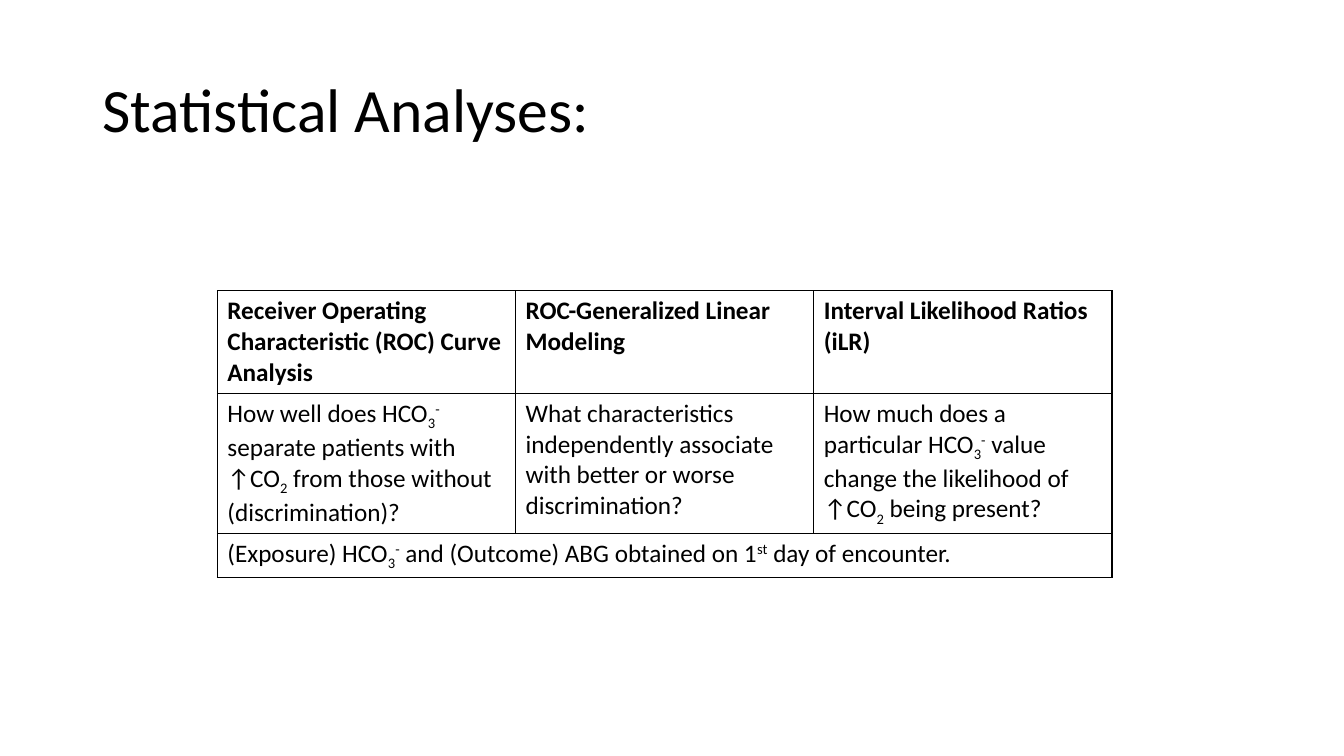
from dataclasses import dataclass

from lxml import etree
from pptx import Presentation
from pptx.dml.color import RGBColor
from pptx.enum.text import MSO_ANCHOR, MSO_AUTO_SIZE, PP_ALIGN
from pptx.oxml.ns import qn
from pptx.slide import Slide
from pptx.table import _Cell
from pptx.text.text import _Paragraph
from pptx.util import Emu, Pt

LEFT = PP_ALIGN.LEFT
MIDDLE = MSO_ANCHOR.MIDDLE
NO_FIT = MSO_AUTO_SIZE.NONE
SCALE = 9525  # EMU in one px
TITLE_ONLY = 5


@dataclass(frozen=True)
class Theme:
    font: str = "Calibri"
    ink: str = "000000"
    title: int = 44
    body: int = 18
    line: int = 1


@dataclass(frozen=True)
class Box:
    left: int
    top: int
    width: int
    height: int


@dataclass(frozen=True)
class Part:
    text: str
    base: int = 0  # shift from the baseline, in percent


THEME = Theme()
PAGE = Box(0, 0, 1280, 720)
HEAD = Box(88, 38, 1104, 139)
COL, ROW = 284, 39
GRID = Box(207, 277, 3 * COL, 3 * ROW)

# Chemical terms and table wording
SUB, SUP = -25, 30
BICARB = (Part("3", SUB), Part("-", SUP))
TWO = Part("2", SUB)
ROWS: list[list[tuple[Part, ...]]] = [
    [
        (Part("Receiver Operating Characteristic (ROC) Curve Analysis"),),
        (Part("ROC-Generalized Linear Modeling"),),
        (Part("Interval Likelihood Ratios (iLR)"),),
    ],
    [
        (Part("How well does HCO"), *BICARB, Part(" separate patients with ↑CO"),
         TWO, Part(" from those without (discrimination)?")),
        (Part("What characteristics independently associate "
              "with better or worse discrimination?"),),
        (Part("How much does a particular HCO"), *BICARB,
         Part(" value change the likelihood of ↑CO"), TWO, Part(" being present?")),
    ],
    [
        (Part("(Exposure) HCO"), *BICARB, Part(" and (Outcome) ABG obtained on 1"),
         Part("st", SUP), Part(" day of encounter.")),
    ],
]


def px(size: int) -> Emu:
    return Emu(size * SCALE)


def write(para: _Paragraph, parts: tuple[Part, ...], size: int, bold: bool = False) -> None:
    para.alignment = LEFT
    for part in parts:
        run = para.add_run()
        run.text = part.text
        run.font.name = THEME.font
        run.font.size = Pt(size)
        run.font.bold = bold
        run.font.color.rgb = RGBColor.from_string(THEME.ink)
        if part.base:
            run._r.get_or_add_rPr().set("baseline", str(part.base * 1000))


def frame(cell: _Cell) -> None:
    props = cell._tc.get_or_add_tcPr()
    for side in ("lnL", "lnR", "lnT", "lnB"):
        edge = etree.SubElement(props, qn(f"a:{side}"), w=str(Pt(THEME.line)))
        fill = etree.SubElement(edge, qn("a:solidFill"))
        etree.SubElement(fill, qn("a:srgbClr"), val=THEME.ink)
    cell.fill.background()


def add_title(slide: Slide) -> None:
    title = slide.shapes.title
    title.left, title.top = px(HEAD.left), px(HEAD.top)
    title.width, title.height = px(HEAD.width), px(HEAD.height)
    text = title.text_frame
    text.word_wrap = True
    text.auto_size = NO_FIT
    text.vertical_anchor = MIDDLE
    para = text.paragraphs[0]
    para.line_spacing = 0.9
    write(para, (Part("Statistical Analyses:"),), THEME.title)


def add_grid(slide: Slide) -> None:
    table = slide.shapes.add_table(
        len(ROWS), len(ROWS[0]), px(GRID.left), px(GRID.top),
        px(GRID.width), px(GRID.height)).table
    table.first_row = table.horz_banding = False
    for cell in table.iter_cells():
        frame(cell)
    # The closing note spans every column
    last = len(ROWS) - 1
    table.cell(last, 0).merge(table.cell(last, len(ROWS[0]) - 1))
    for row, cells in enumerate(ROWS):
        for col, parts in enumerate(cells):
            para = table.cell(row, col).text_frame.paragraphs[0]
            write(para, parts, THEME.body, bold=row == 0)


def main() -> None:
    deck = Presentation()
    deck.slide_width, deck.slide_height = px(PAGE.width), px(PAGE.height)
    slide = deck.slides.add_slide(deck.slide_layouts[TITLE_ONLY])
    add_title(slide)
    add_grid(slide)
    deck.save("out.pptx")


if __name__ == "__main__":
    main()
